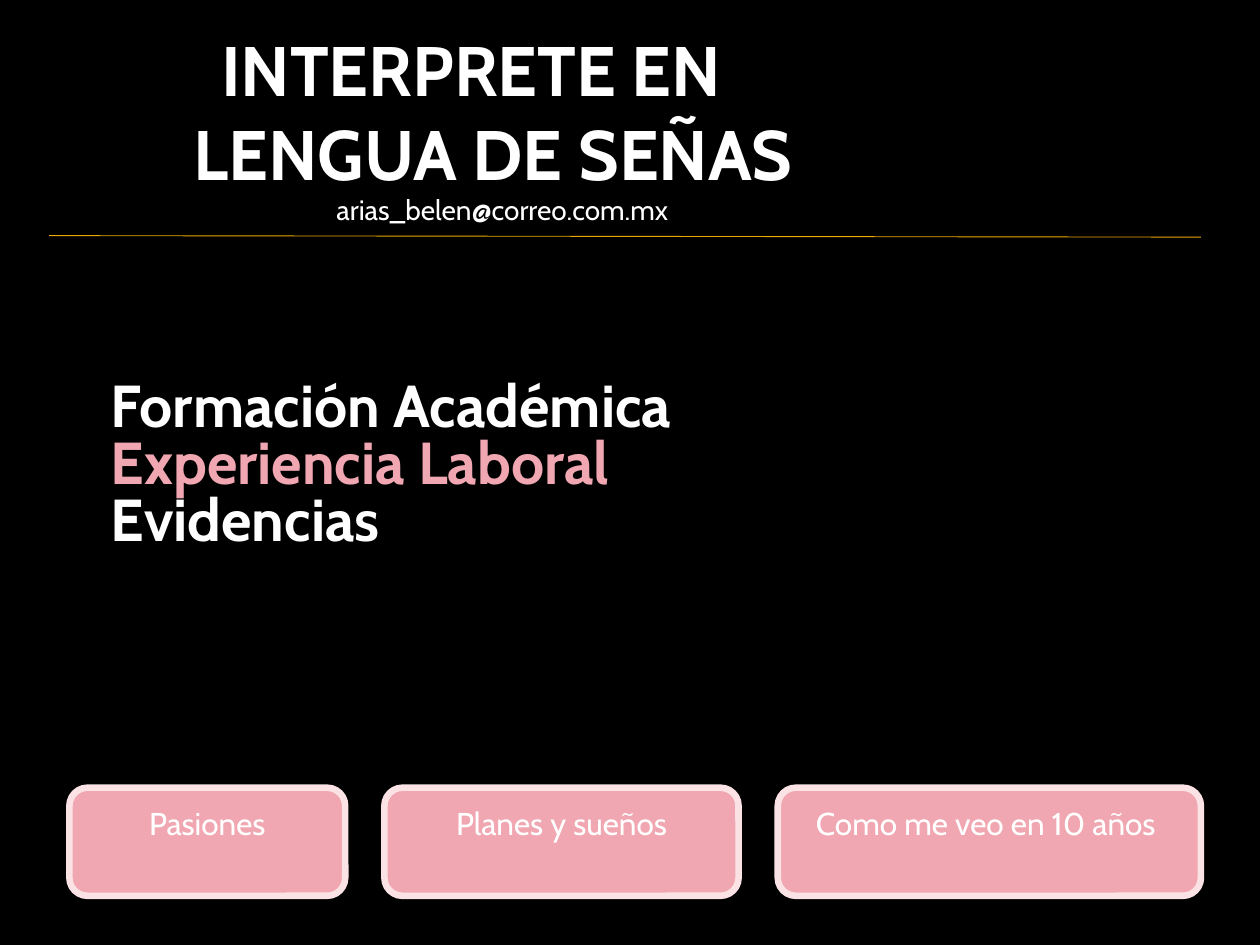
from dataclasses import dataclass

from pptx import Presentation
from pptx import util as u
from pptx.dml.color import RGBColor
from pptx.enum import shapes, text
from pptx.oxml.ns import qn
from lxml import etree


@dataclass(frozen=True)
class Theme:
    font: str = "Cabin"
    black: str = "000000"
    white: str = "FFFFFF"
    pink: str = "F0A7B1"
    pale_pink: str = "FAE2E5"
    gold: str = "EBA900"
    title: float = 40
    menu: float = 33.8
    button: float = 18
    email: float = 16
    border: float = 3.78
    rule: float = 0.5


T = Theme()
MIDDLE = text.MSO_ANCHOR.MIDDLE
CENTER = text.PP_ALIGN.CENTER


def set_attrs(obj, values):
    for name, value in values.items():
        setattr(obj, name, value)


def add_lines(tf, lines, size, frame=None, para=None, bold=False):
    """Fill a text frame with one paragraph for each (wording, colour)."""
    set_attrs(tf, {"word_wrap": True, **(frame or {})})
    for i, (wording, color) in enumerate(lines):
        p = tf.add_paragraph() if i else tf.paragraphs[0]
        set_attrs(p, para or {})
        r = p.add_run()
        r.text = wording
        set_attrs(r.font, {"name": T.font, "size": u.Pt(size), "bold": bold})
        r.font.color.rgb = RGBColor.from_string(color)


def add_text(s, box, lines, size, **formats):
    tf = s.shapes.add_textbox(*map(u.Cm, box)).text_frame
    add_lines(tf, lines, size, **formats)
    return tf


def add_box(s, kind, box, fill, line=None):
    sp = s.shapes.add_shape(kind, *map(u.Cm, box))
    sp.shadow.inherit = False
    sp.fill.solid()
    sp.fill.fore_color.rgb = RGBColor.from_string(fill)
    if line:
        sp.line.color.rgb = RGBColor.from_string(line)
        sp.line.width = u.Pt(T.border)
    else:
        sp.line.fill.background()
    return sp


def add_rule(s, ends):
    c = s.shapes.add_connector(shapes.MSO_CONNECTOR.STRAIGHT, *map(u.Cm, ends))
    c.line.color.rgb = RGBColor.from_string(T.gold)
    c.line.width = u.Pt(T.rule)
    etree.SubElement(c._element.spPr, qn("a:effectLst"))


def add_buttons(s, left, top, height, gap, buttons):
    for label, width in buttons:
        sp = add_box(s, shapes.MSO_SHAPE.ROUNDED_RECTANGLE,
                     (left, top, width, height), T.pink, T.pale_pink)
        add_lines(sp.text_frame, [(label, T.white)], T.button,
                  frame={"vertical_anchor": MIDDLE, "margin_bottom": u.Cm(0.9)},
                  para={"alignment": CENTER})
        left += width + gap


def main():
    prs = Presentation()
    set_attrs(prs, {"slide_width": u.Cm(25.4), "slide_height": u.Cm(19.05)})
    s = prs.slides.add_slide(prs.slide_layouts[6])

    # Header and body panels
    add_box(s, shapes.MSO_SHAPE.RECTANGLE, (0, 0, 25.4, 3.99), T.black)
    add_box(s, shapes.MSO_SHAPE.RECTANGLE, (0, 3.76, 25.4, 15.29), T.black, T.black)

    # Title with a hanging indent
    tf = add_text(s, (1.19, 0.41, 16.28, 3.18),
                  [("INTERPRETE EN LENGUA DE SEÑAS", T.white)], T.title,
                  para={"alignment": CENTER}, bold=True)
    pPr = tf.paragraphs[0]._p.get_or_add_pPr()
    pPr.set("marL", str(u.Cm(1.22)))
    pPr.set("indent", str(u.Cm(-0.89)))

    # Menu, with the current section in pink
    add_text(s, (1.98, 6.15, 22.43, 7.75),
             [("Formación Académica", T.white),
              ("Experiencia Laboral", T.pink),
              ("Evidencias", T.white)], T.menu,
             frame={"vertical_anchor": MIDDLE, "margin_left": u.Cm(0.25),
                    "margin_right": u.Cm(0.13), "margin_top": u.Cm(0.13),
                    "margin_bottom": u.Cm(1.34)},
             para={"line_spacing": 0.8}, bold=True)

    # Contact address and rule
    add_rule(s, (0.99, 4.75, 24.21, 4.78))
    add_text(s, (3.58, 3.76, 12.9, 0.79),
             [("arias_belen@correo.com.mx", T.white)], T.email,
             frame={"vertical_anchor": text.MSO_ANCHOR.BOTTOM,
                    "margin_left": u.Cm(0.33), "margin_right": u.Cm(0.13),
                    "margin_top": 0, "margin_bottom": 0},
             para={"alignment": CENTER})

    # Bottom buttons
    add_buttons(s, left=1.4, top=15.88, height=2.18, gap=0.79,
                buttons=[("Pasiones", 5.56), ("Planes y sueños", 7.14),
                         ("Como me veo en 10 años ", 8.53)])

    prs.save("out.pptx")


if __name__ == "__main__":
    main()
